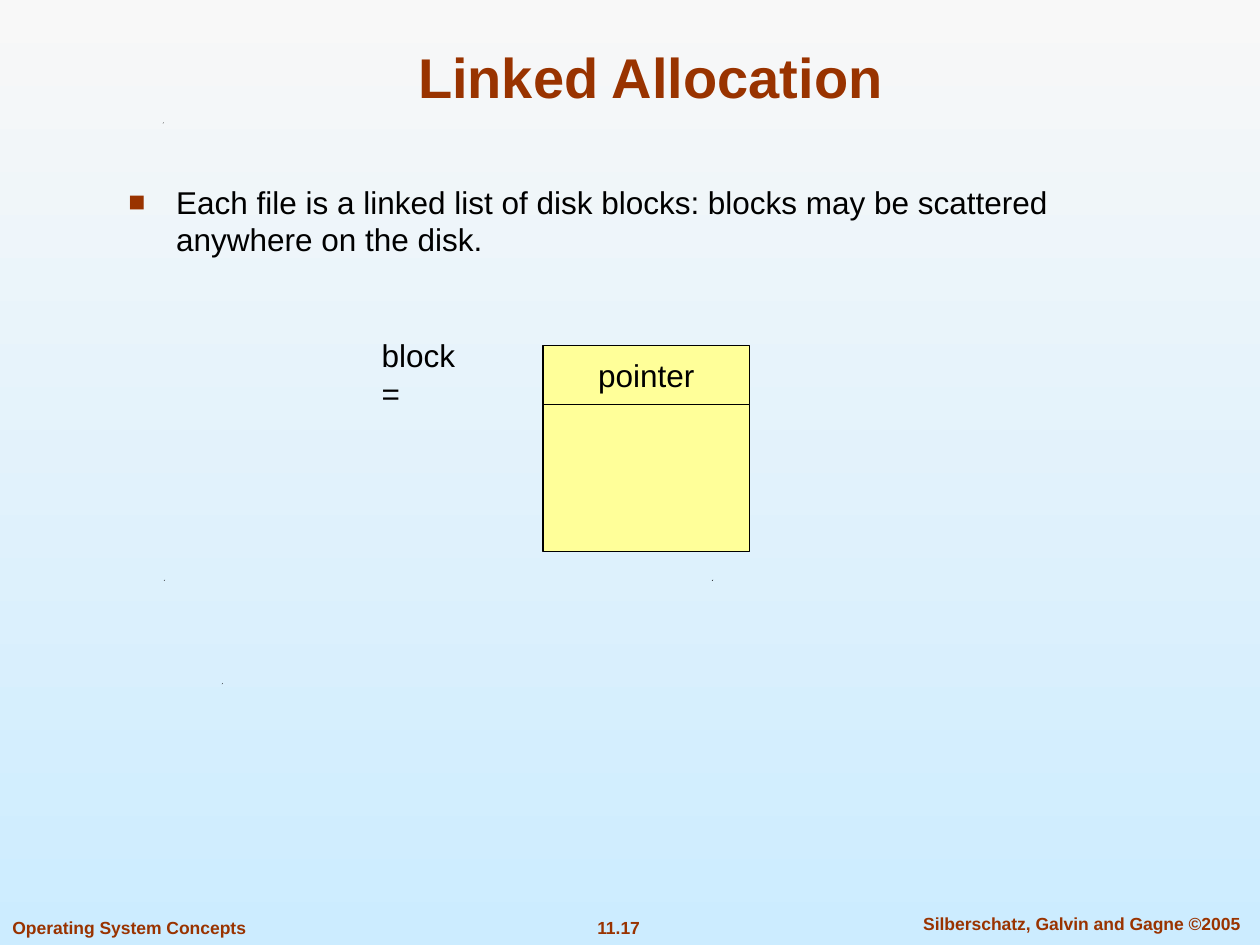
from dataclasses import dataclass

from lxml.etree import SubElement
from pptx import Presentation
from pptx.dml.color import RGBColor
from pptx.enum.shapes import MSO_SHAPE
from pptx.enum.text import MSO_ANCHOR, PP_ALIGN
from pptx.oxml.ns import qn
from pptx.util import Inches, Pt


@dataclass(frozen=True)
class Theme:
    font: str = "Arial"
    accent: RGBColor = RGBColor(0x99, 0x33, 0x00)
    ink: RGBColor = RGBColor(0, 0, 0)
    block: RGBColor = RGBColor(0xFF, 0xFF, 0x99)
    sky_top: RGBColor = RGBColor(0xF8, 0xF8, 0xF8)
    sky_bottom: RGBColor = RGBColor(0xCC, 0xEC, 0xFF)
    title_size: int = 32
    body_size: int = 18
    footer_size: int = 10


THEME = Theme()


def paint_background(page):
    fill = page.background.fill
    fill.gradient()
    fill.gradient_angle = 270
    for stop, position, color in zip(
        fill.gradient_stops, (0, 1), (THEME.sky_top, THEME.sky_bottom)
    ):
        stop.position = position
        stop.color.rgb = color


def write(shape, text, size, color, bold=False, align=PP_ALIGN.LEFT,
          anchor=MSO_ANCHOR.TOP, before=0, wrap=True):
    frame = shape.text_frame
    frame.word_wrap = wrap
    frame.vertical_anchor = anchor
    para = frame.paragraphs[0]
    para.text = text
    para.alignment = align
    para.space_before = Pt(before)
    font = para.font
    font.name, font.size, font.bold = THEME.font, Pt(size), bold
    font.color.rgb = color
    return para


def add_text(page, left, top, width, height, text, size, color, **style):
    box = page.shapes.add_textbox(
        Inches(left), Inches(top), Inches(width), Inches(height))
    return write(box, text, size, color, **style)


def add_bullet(para, indent):
    properties = para._p.get_or_add_pPr()
    properties.set("marL", str(Inches(indent)))
    properties.set("indent", str(-Inches(indent)))
    color = SubElement(properties, qn("a:buClr"))
    SubElement(color, qn("a:srgbClr"), val=str(THEME.accent))
    SubElement(properties, qn("a:buSzPct"), val="90000")
    SubElement(properties, qn("a:buFont"), typeface=THEME.font)
    SubElement(properties, qn("a:buChar"), char="■")


def add_tab_stop(para, position):
    tabs = SubElement(para._p.get_or_add_pPr(), qn("a:tabLst"))
    SubElement(tabs, qn("a:tab"), pos=str(Inches(position)), algn="l")


def add_cell(page, left, top, width, height):
    cell = page.shapes.add_shape(
        MSO_SHAPE.RECTANGLE,
        Inches(left), Inches(top), Inches(width), Inches(height))
    cell.shadow.inherit = False
    cell.fill.solid()
    cell.fill.fore_color.rgb = THEME.block
    cell.line.color.rgb = THEME.ink
    cell.line.width = Pt(0.75)
    return cell


def add_speck(page, left, top):
    size = Inches(0.01)
    x, y = Inches(left), Inches(top)
    builder = page.shapes.build_freeform(x, y + size)
    builder.add_line_segments([(x + size, y), (x + size // 2, y + size)])
    speck = builder.convert_to_shape()
    speck.shadow.inherit = False
    speck.fill.solid()
    speck.fill.fore_color.rgb = THEME.ink
    speck.line.fill.background()


def add_footer(page):
    for left, top, width, text, align in (
        (4.38, 7.23, 1.06, "11.17", PP_ALIGN.CENTER),
        (7.1, 7.2, 2.97, "Silberschatz, Galvin and Gagne ©2005", PP_ALIGN.CENTER),
        (0, 7.23, 2.05, "Operating System Concepts", PP_ALIGN.LEFT),
    ):
        add_text(page, left, top, width, 0.27, text, THEME.footer_size,
                 THEME.accent, bold=True, align=align, before=6.2)


def add_block_diagram(page):
    left, top, width, pointer_height, data_height = 4.31, 2.74, 1.64, 0.47, 1.17
    pointer = add_cell(page, left, top, width, pointer_height)
    write(pointer, "pointer", THEME.body_size, THEME.ink,
          align=PP_ALIGN.CENTER, anchor=MSO_ANCHOR.MIDDLE, wrap=False)
    add_cell(page, left, top + pointer_height, width, data_height)
    label = add_text(page, 2.93, 2.77, 1.34, 0.4, "block\t=", THEME.body_size,
                     THEME.ink, anchor=MSO_ANCHOR.MIDDLE, before=11.2)
    add_tab_stop(label, 1)


def main():
    deck = Presentation()
    deck.slide_width, deck.slide_height = Inches(10), Inches(7.5)
    page = deck.slides.add_slide(deck.slide_layouts[6])

    # Backdrop and footer
    paint_background(page)
    for left, top in ((1.76, 5.42), (1.3, 4.6), (5.65, 4.6), (1.29, 0.97)):
        add_speck(page, left, top)
    add_footer(page)

    # Title and statement
    add_text(page, 0.75, 0.25, 8.83, 0.67, "Linked Allocation",
             THEME.title_size, THEME.accent, bold=True,
             align=PP_ALIGN.CENTER, anchor=MSO_ANCHOR.BOTTOM)
    statement = add_text(
        page, 0.92, 1.4, 8.04, 0.81,
        "Each file is a linked list of disk blocks: blocks may be scattered "
        "anywhere on the disk.",
        THEME.body_size, THEME.ink, before=7.9)
    add_bullet(statement, 0.38)

    # Block with its pointer
    add_block_diagram(page)

    deck.save("out.pptx")


if __name__ == "__main__":
    main()
